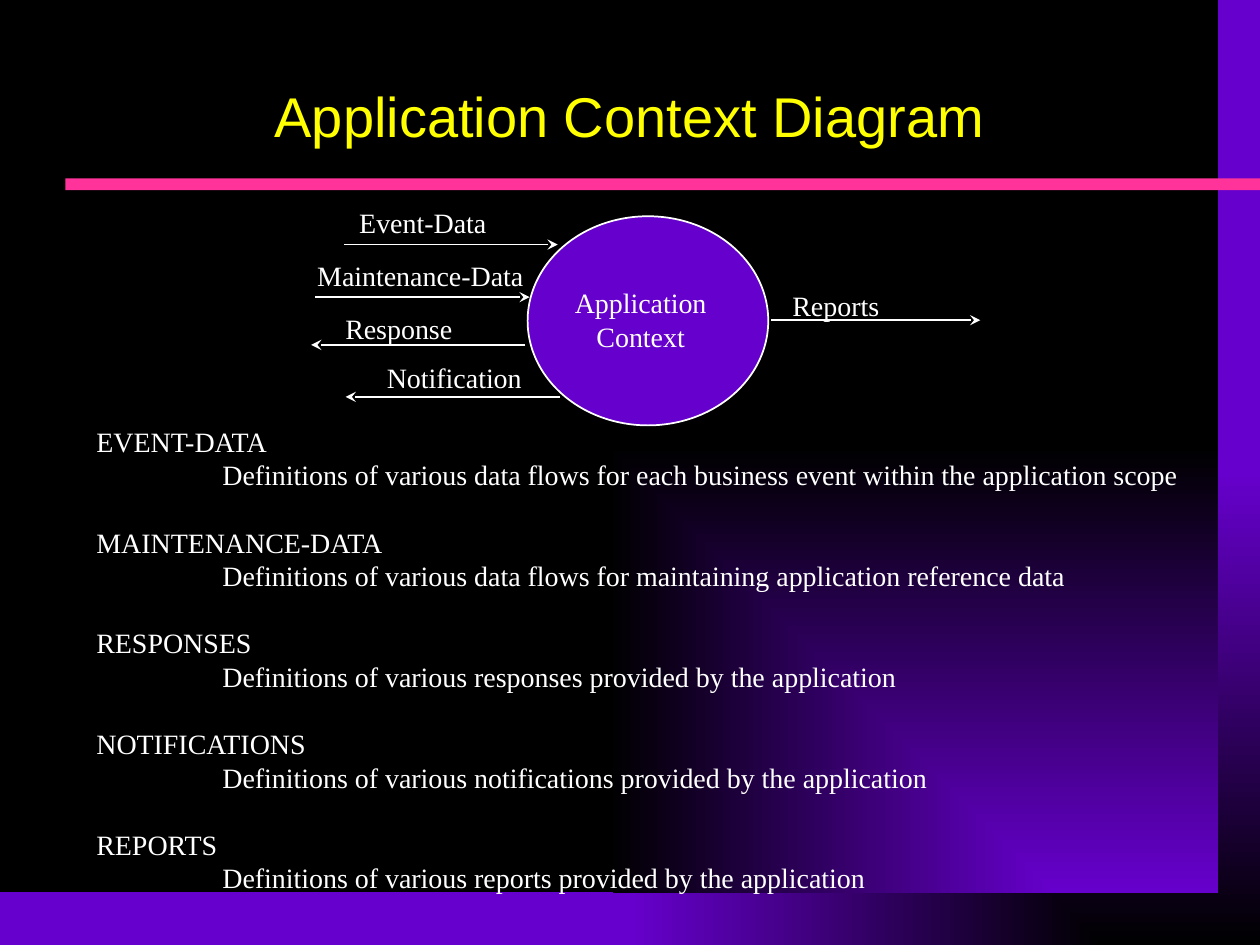
from dataclasses import dataclass

import pptx
import pptx.util
import pptx.dml.color
import pptx.enum.shapes
import pptx.enum.text
import pptx.oxml.ns
from lxml import etree

Pt = pptx.util.Pt
qn = pptx.oxml.ns.qn
RGB = pptx.dml.color.RGBColor
Align = pptx.enum.text.PP_ALIGN
Anchor = pptx.enum.text.MSO_ANCHOR
Shape = pptx.enum.shapes.MSO_SHAPE


@dataclass(frozen=True)
class Theme:
    black: RGB = RGB(0x00, 0x00, 0x00)
    purple: RGB = RGB(0x66, 0x00, 0xCC)
    pink: RGB = RGB(0xFF, 0x33, 0x99)
    yellow: RGB = RGB(0xFF, 0xFF, 0x00)
    white: RGB = RGB(0xFF, 0xFF, 0xFF)
    title_font: str = "Arial"
    body_font: str = "Times New Roman"
    title_size: int = 32
    body_size: int = 16
    line_height: float = 19.2
    line_width: float = 1


THEME = Theme()

# Label, label left and top, arrow start x, arrow end x, arrow y
FLOWS = [
    ("Event-Data", 24, 0, 22.5, 144.5, 26),
    ("Maintenance-Data", 0, 30.2, 5.8, 128.5, 56),
    ("Response", 16, 60.5, 126, 3.6, 83.3),
    ("Notification", 39.8, 88.5, 146, 23.3, 113),
    ("Reports", 271.5, 47.5, 266.5, 386, 69.2),
]
DEFINITIONS = [
    ("EVENT-DATA", "Definitions of various data flows for each business event within the application scope"),
    ("MAINTENANCE-DATA", "Definitions of various data flows for maintaining application reference data"),
    ("RESPONSES", "Definitions of various responses provided by the application"),
    ("NOTIFICATIONS", "Definitions of various notifications provided by the application"),
    ("REPORTS", "Definitions of various reports provided by the application"),
]
LABEL_WIDTHS = {"Event-Data": 87.8, "Maintenance-Data": 133.2, "Response": 75.6,
                "Notification": 92.2, "Reports": 64.1}


def corner_gradient(fill, owner, corner, outer):
    """Rectangular gradient that runs outward from the bottom right corner."""
    fill.gradient()
    for stop, color, position in zip(fill.gradient_stops, (corner, outer), (0, 1)):
        stop.color.rgb = color
        stop.position = position
    gradient = owner._element.find(".//" + qn("a:gradFill"))
    gradient.remove(gradient.find(qn("a:lin")))
    direction = etree.SubElement(gradient, qn("a:path"), path="rect")
    etree.SubElement(direction, qn("a:fillToRect"), l="100000", t="100000")


def add_plain_shape(shapes, kind, left, top, width, height):
    shape = shapes.add_shape(kind, Pt(left), Pt(top), Pt(width), Pt(height))
    shape.shadow.inherit = False
    shape.line.fill.background()
    return shape


def add_text(shapes, lines, left, top, width, height, wrap=False):
    box = shapes.add_textbox(Pt(left), Pt(top), Pt(width), Pt(height))
    frame = box.text_frame
    frame.word_wrap = wrap
    frame.text = "\n".join(lines)
    for paragraph in frame.paragraphs:
        paragraph.font.name = THEME.body_font
        paragraph.font.size = Pt(THEME.body_size)
        paragraph.font.color.rgb = THEME.white
    return frame


def add_arrow(shapes, start_x, end_x, y):
    arrow = shapes.add_connector(pptx.enum.shapes.MSO_CONNECTOR.STRAIGHT,
                                 Pt(start_x), Pt(y), Pt(end_x), Pt(y))
    arrow.line.color.rgb = THEME.white
    arrow.line.width = Pt(THEME.line_width)
    properties = arrow._element.spPr
    etree.SubElement(properties.find(qn("a:ln")), qn("a:tailEnd"), type="stealth")
    etree.SubElement(properties, qn("a:effectLst"))


def add_backdrop(slide, width, height):
    corner_gradient(slide.background.fill, slide, THEME.black, THEME.purple)
    panel = add_plain_shape(slide.shapes, Shape.RECTANGLE, 0, 0, width - 24, height - 30)
    corner_gradient(panel.fill, panel, THEME.purple, THEME.black)
    rule = add_plain_shape(slide.shapes, Shape.RECTANGLE, 37.4, 102, width - 37.4, 6.7)
    rule.fill.solid()
    rule.fill.fore_color.rgb = THEME.pink


def add_title(slide, left, top, width, height):
    frame = add_text(slide.shapes, ["Application Context Diagram"], left, top, width, height, True)
    frame.vertical_anchor = Anchor.MIDDLE
    title = frame.paragraphs[0]
    title.alignment = Align.CENTER
    title.line_spacing = 0.9
    title.font.name = THEME.title_font
    title.font.size = Pt(THEME.title_size)
    title.font.color.rgb = THEME.yellow


def add_context_diagram(slide, left, top):
    shapes = slide.shapes.add_group_shape().shapes
    context = add_plain_shape(shapes, Shape.OVAL, left + 127.3, top + 9.8, 137.5, 119.5)
    context.fill.solid()
    context.fill.fore_color.rgb = THEME.purple
    context.line.color.rgb = THEME.white
    context.line.width = Pt(THEME.line_width)
    caption = add_text(shapes, ["Application", "Context"], left + 146.9, top + 46, 90, 46)
    for paragraph in caption.paragraphs:
        paragraph.alignment = Align.CENTER
    for label, label_x, label_y, start_x, end_x, arrow_y in FLOWS:
        add_arrow(shapes, left + start_x, left + end_x, top + arrow_y)
        add_text(shapes, [label], left + label_x, top + label_y, LABEL_WIDTHS[label], 26.6)


def add_definitions(slide, left, top, width, height):
    lines = [line for definition in DEFINITIONS for line in definition]
    paragraphs = add_text(slide.shapes, lines, left, top, width, height, True).paragraphs
    for term in paragraphs[2::2]:
        term.space_before = Pt(THEME.line_height)
    for meaning in paragraphs[1::2]:
        meaning._p.get_or_add_pPr().set("marL", str(Pt(72)))


def main():
    presentation = pptx.Presentation()
    width, height = 720, 540
    presentation.slide_width, presentation.slide_height = Pt(width), Pt(height)
    slide = presentation.slides.add_slide(presentation.slide_layouts[6])
    add_backdrop(slide, width, height)
    add_title(slide, 54, 30, 612, 76)
    add_definitions(slide, 48, 239, 636, 276.5)
    add_context_diagram(slide, 174.2, 113.8)
    presentation.save("out.pptx")


if __name__ == "__main__":
    main()
